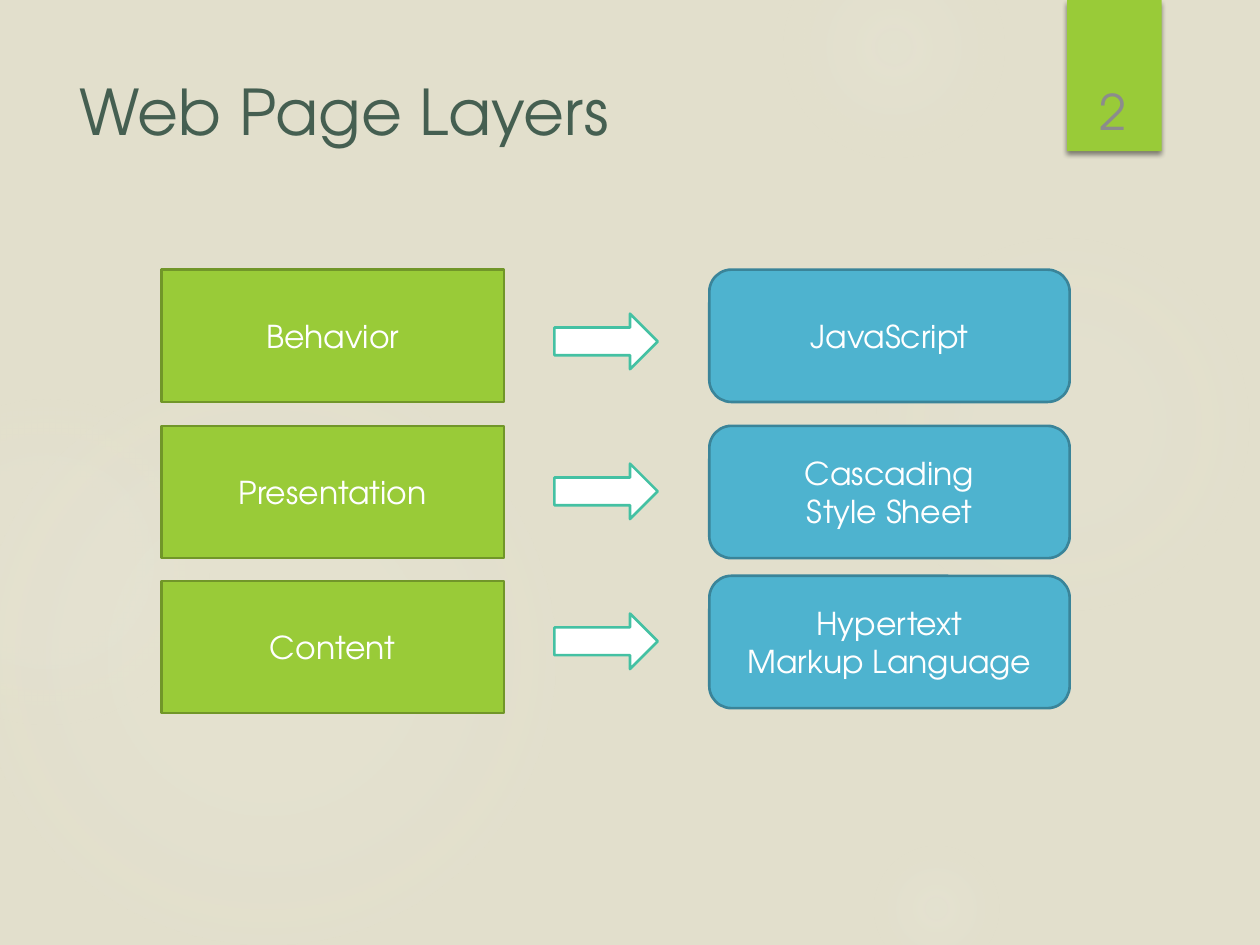
from dataclasses import dataclass

from pptx import Presentation, util as u
from pptx.dml.color import RGBColor
from pptx.enum import shapes, text
from pptx.oxml import parse_xml
from pptx.oxml.ns import nsdecls

KIND = shapes.MSO_SHAPE
MID, LOW = text.MSO_ANCHOR.MIDDLE, text.MSO_ANCHOR.BOTTOM
LEFT, MIDDLE = text.PP_ALIGN.LEFT, text.PP_ALIGN.CENTER


@dataclass(frozen=True)
class Theme:
    font: str = "TeX Gyre Adventor"
    back: str = "E2DFCC"
    halo: str = "F3F2EB"
    head: str = "455F51"
    page: str = "8C8C8C"
    white: str = "FFFFFF"
    green: str = "99CB38"
    moss: str = "719629"
    blue: str = "4EB3CF"
    navy: str = "3A8499"
    teal: str = "44C1A3"
    head_size: int = 36
    page_size: int = 28
    body_size: int = 18
    edge: float = 1.5


T = Theme()

# Halo box, then (position, opacity) stops in percent
HALOS = [
    ((6.89, 1.83, 3.08, 3.08), ((0, 7), (36, 6), (69, 0))),
    ((6.22, -0.5, 1.75, 1.75), ((0, 14), (36, 7), (73, 0))),
    ((6.89, 6.67, 1.08, 1.08), ((0, 14), (36, 7), (66, 0))),
    ((-0.17, 2.92, 4.58, 4.58), ((0, 11), (36, 10), (75, 0))),
    ((-0.92, 3.17, 2.58, 2.58), ((0, 8), (36, 8), (72, 0))),
]
LAYERS = ["Behavior", "Presentation", "Content"]
TOOLS = ["JavaScript", "Cascading\nStyle Sheet", "Hypertext\nMarkup Language"]


def rgb(code):
    return RGBColor.from_string(code)


def apply(item, form):
    for name, value in form.items():
        setattr(item, name, value)


def inch(box):
    return [u.Inches(n) for n in box]


def write(shape, words, size, color, align=MIDDLE, anchor=MID):
    frame = shape.text_frame
    frame.text = words
    apply(frame, {"word_wrap": True, "vertical_anchor": anchor,
                  "auto_size": text.MSO_AUTO_SIZE.NONE})
    for para in frame.paragraphs:
        para.alignment = align
        for run in para.runs:
            apply(run.font, {"name": T.font, "size": u.Pt(size)})
            run.font.color.rgb = rgb(color)


def draw(slide, kind, box, fill=None, line=None):
    shape = slide.shapes.add_shape(kind, *inch(box))
    shape.shadow.inherit = False
    if fill:
        shape.fill.solid()
        shape.fill.fore_color.rgb = rgb(fill)
    if line:
        shape.line.color.rgb = rgb(line)
        shape.line.width = u.Pt(T.edge)
    else:
        shape.line.fill.background()
    return shape


def add_halo(slide, box, stops):
    shape = draw(slide, KIND.OVAL, box)
    marks = "".join(
        f'<a:gs pos="{pos * 1000}"><a:srgbClr val="{T.halo}">'
        f'<a:alpha val="{alpha * 1000}"/></a:srgbClr></a:gs>'
        for pos, alpha in stops)
    grad = parse_xml(
        f'<a:gradFill {nsdecls("a")} rotWithShape="1"><a:gsLst>{marks}</a:gsLst>'
        '<a:path path="circle"><a:fillToRect l="50000" t="50000" r="50000" '
        'b="50000"/></a:path></a:gradFill>')
    shape._element.spPr.prstGeom.addnext(grad)


def add_title(slide, box, words):
    title = slide.shapes.title
    apply(title, dict(zip(("left", "top", "width", "height"), inch(box))))
    write(title, words, T.head_size, T.head, LEFT)


def add_page(slide, box, number):
    left, top, wide, high = box
    tab = draw(slide, KIND.RECTANGLE, box, T.green)
    # Soft shadow straight below the tab
    shade = parse_xml(
        f'<a:outerShdw {nsdecls("a")} blurRad="{u.Pt(3)}" dist="{u.Pt(2)}" '
        'dir="5400000" rotWithShape="0"><a:srgbClr val="000000">'
        '<a:alpha val="45000"/></a:srgbClr></a:outerShdw>')
    tab._element.spPr.find("{*}effectLst").append(shade)
    label = slide.shapes.add_textbox(
        *inch((left + 0.02, top + 0.32, wide - 0.06, high - 0.36)))
    write(label, number, T.page_size, T.page, anchor=LOW)


def add_stack(slide, box, kind, tops, fill, line, labels=()):
    """Place one shape at each top, in the column set by (left, width, height)."""
    left, wide, high = box
    column = [draw(slide, kind, (left, top, wide, high), fill, line)
              for top in tops]
    for shape, words in zip(column, labels):
        write(shape, words, T.body_size, T.white)


def main():
    deck = Presentation()
    apply(deck, {"slide_width": u.Inches(10), "slide_height": u.Inches(7.5)})
    slide = deck.slides.add_slide(deck.slide_layouts[5])
    slide.background.fill.solid()
    slide.background.fill.fore_color.rgb = rgb(T.back)

    # Backdrop and heading
    for box, stops in HALOS:
        add_halo(slide, box, stops)
    add_page(slide, (8.47, 0, 0.75, 1.2), "2")
    add_title(slide, (0.53, 0.5, 7.72, 0.75), "Web Page Layers")

    # Layers, arrows and the languages behind them
    add_stack(slide, (1.28, 2.72, 1.05), KIND.RECTANGLE,
              (2.14, 3.38, 4.61), T.green, T.moss, LAYERS)
    add_stack(slide, (4.4, 0.82, 0.44), KIND.RIGHT_ARROW,
              [2.49 + 1.19 * row for row in range(3)], T.white, T.teal)
    add_stack(slide, (5.63, 2.86, 1.05), KIND.ROUNDED_RECTANGLE,
              (2.14, 3.38, 4.57), T.blue, T.navy, TOOLS)

    deck.save("out.pptx")


if __name__ == "__main__":
    main()
